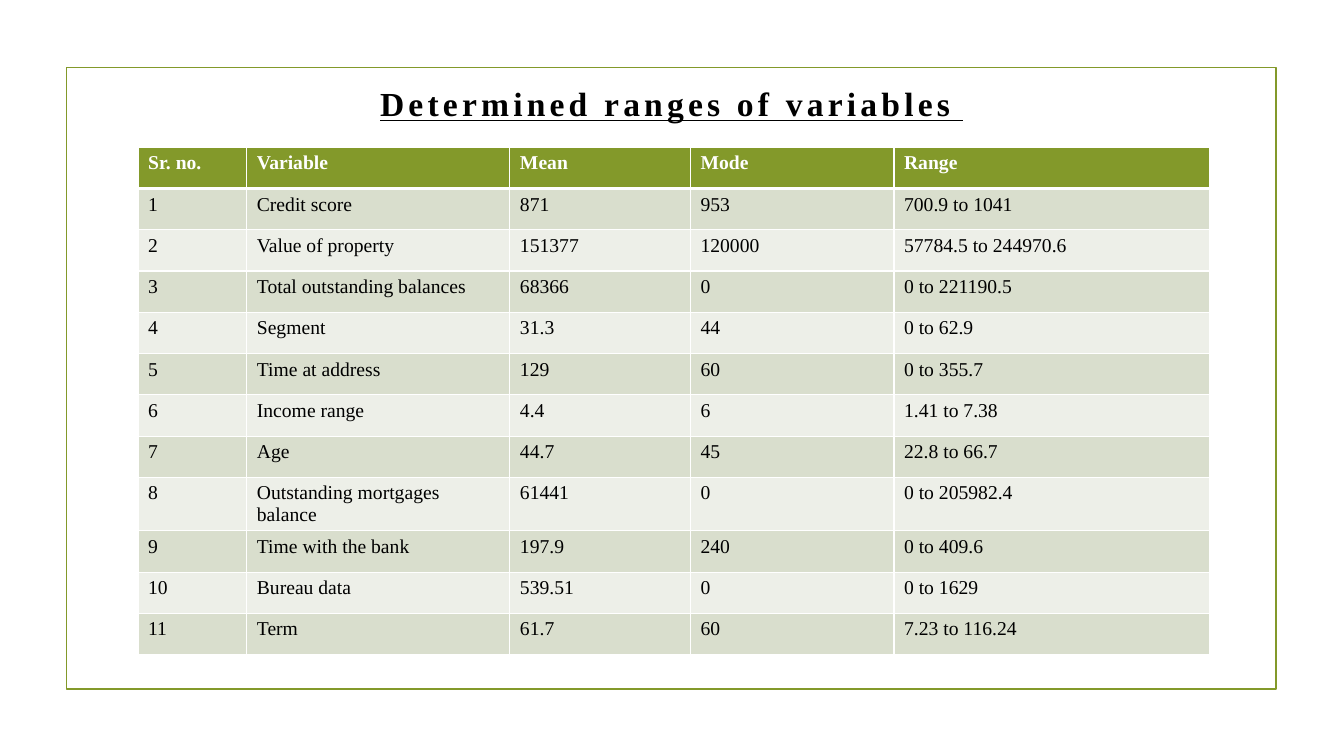
from lxml import etree
from pptx import Presentation
from pptx import util as u
from pptx.dml.color import RGBColor
from pptx.enum import shapes, text
from pptx.oxml.ns import qn

FONT = "Times New Roman"
GREEN, WHITE, BLACK = "83992A", "FFFFFF", "000000"
BANDS = ("D9DECD", "EDEFE8")
COLUMN_WIDTHS = (2.74, 6.63, 4.55, 5.13, 7.95)
ROW_HEIGHT = 1.04
HEADINGS = ("Sr. no.", "Variable", "Mean", "Mode", "Range")
VARIABLES = (
    ("Credit score", "871", "953", "700.9 to 1041"),
    ("Value of property", "151377", "120000", "57784.5 to 244970.6"),
    ("Total outstanding balances", "68366", "0", "0 to 221190.5"),
    ("Segment", "31.3", "44", "0 to 62.9"),
    ("Time at address", "129", "60", "0 to 355.7"),
    ("Income range", "4.4", "6", "1.41 to 7.38"),
    ("Age", "44.7", "45", "22.8 to 66.7"),
    ("Outstanding mortgages balance", "61441", "0", "0 to 205982.4"),
    ("Time with the bank", "197.9", "240", "0 to 409.6"),
    ("Bureau data", "539.51", "0", "0 to 1629"),
    ("Term", "61.7", "60", "7.23 to 116.24"),
)


def color(value):
    return RGBColor.from_string(value)


def style_font(para, size, value, bold):
    para.font.name = FONT
    para.font.size = u.Pt(size)
    para.font.bold = bold
    para.font.color.rgb = color(value)


def add_frame(page, left, top, width, height):
    frame = page.shapes.add_shape(
        shapes.MSO_SHAPE.RECTANGLE, u.Cm(left), u.Cm(top), u.Cm(width), u.Cm(height))
    frame.shadow.inherit = False
    frame.fill.background()
    frame.line.color.rgb = color(GREEN)
    frame.line.width = u.Pt(1.25)


def add_title(page, left, top, width, height):
    box = page.shapes.add_textbox(u.Cm(left), u.Cm(top), u.Cm(width), u.Cm(height))
    box.text_frame.word_wrap = True
    para = box.text_frame.paragraphs[0]
    para.text = "Determined ranges of variables "
    para.alignment = text.PP_ALIGN.CENTER
    style_font(para, 24, BLACK, True)
    para.font.underline = True
    para._p.get_or_add_pPr().get_or_add_defRPr().set("spc", "300")


def add_borders(cell, bottom):
    properties = cell._tc.get_or_add_tcPr()
    sides = (("a:lnL", 1), ("a:lnR", 1), ("a:lnT", 1), ("a:lnB", bottom))
    for position, (side, width) in enumerate(sides):
        line = etree.Element(qn(side), w=str(u.Pt(width)))
        fill = etree.SubElement(line, qn("a:solidFill"))
        etree.SubElement(fill, qn("a:srgbClr"), val=WHITE)
        properties.insert(position, line)


def fill_cell(cell, content, row_index):
    is_header = row_index == 0
    cell.fill.solid()
    cell.fill.fore_color.rgb = color(GREEN if is_header else BANDS[(row_index - 1) % 2])
    para = cell.text_frame.paragraphs[0]
    para.text = content
    style_font(para, 14, WHITE if is_header else BLACK, is_header)
    add_borders(cell, 3 if is_header else 1)


def add_ranges_table(page, left, top):
    rows = [HEADINGS] + [(str(n), *row) for n, row in enumerate(VARIABLES, 1)]
    table = page.shapes.add_table(
        len(rows), len(HEADINGS), u.Cm(left), u.Cm(top),
        u.Cm(sum(COLUMN_WIDTHS)), u.Cm(ROW_HEIGHT * len(rows))).table
    for column, width in zip(table.columns, COLUMN_WIDTHS):
        column.width = u.Cm(width)
    for row_index, row in enumerate(rows):
        table.rows[row_index].height = u.Cm(ROW_HEIGHT)
        for column_index, content in enumerate(row):
            fill_cell(table.cell(row_index, column_index), content, row_index)


def main():
    deck = Presentation()
    deck.slide_width, deck.slide_height = u.Cm(33.87), u.Cm(19.05)
    page = deck.slides.add_slide(deck.slide_layouts[6])
    add_frame(page, 1.68, 1.7, 30.48, 15.67)
    add_ranges_table(page, 3.48, 3.71)
    add_title(page, 8.94, 1.97, 15.98, 1.27)
    deck.save("out.pptx")


if __name__ == "__main__":
    main()
